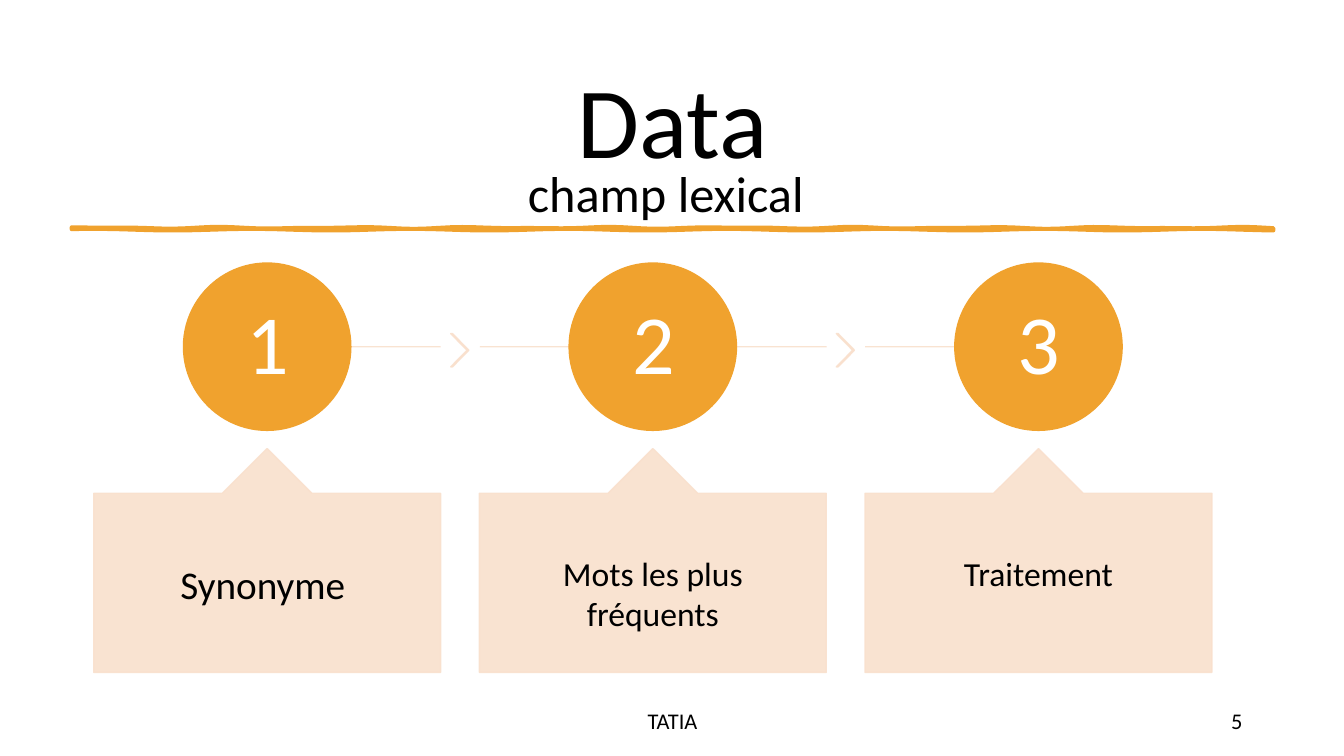
from math import sin

from lxml.etree import SubElement
from pptx import Presentation
from pptx.dml.color import RGBColor
from pptx.enum.shapes import MSO_CONNECTOR as Connector, MSO_SHAPE as Shape
from pptx.enum.text import MSO_ANCHOR as Anchor, PP_ALIGN as Align
from pptx.oxml.ns import qn
from pptx.util import Inches, Pt


def color(value):
    return RGBColor.from_string(value)


class LexicalSlide:
    """Draw the elements of the lexical field slide in one style."""

    font = "Calibri"
    orange, peach, black, white = "F0A22E", "F9E0CD", "000000", "FFFFFF"

    def __init__(self, page):
        self.page = page

    def fade(self, element):
        for tint in element.iter(qn("a:srgbClr")):
            SubElement(tint, qn("a:alpha")).set("val", "90000")

    def text(self, words, left, top, width, height, size, ink=black,
             align=Align.CENTER, anchor=Anchor.MIDDLE, insets=(0.1, 0.05), spacing=None):
        box = self.page.shapes.add_textbox(
            Inches(left), Inches(top), Inches(width), Inches(height))
        frame = box.text_frame
        frame.word_wrap = True
        frame.vertical_anchor = anchor
        frame.margin_left = frame.margin_right = Inches(insets[0])
        frame.margin_top = frame.margin_bottom = Inches(insets[1])
        para = frame.paragraphs[0]
        para.text = words
        para.alignment = align
        para.line_spacing = spacing
        para.font.name = self.font
        para.font.size = Pt(size)
        para.font.color.rgb = color(ink)

    def paint(self, shape, tint, weight):
        shape.shadow.inherit = False
        shape.fill.solid()
        shape.fill.fore_color.rgb = color(tint)
        shape.line.color.rgb = color(tint)
        shape.line.width = Pt(weight)

    def shape(self, kind, left, top, width, height, tint, adjustments=(), faded=False):
        shape = self.page.shapes.add_shape(
            kind, Inches(left), Inches(top), Inches(width), Inches(height))
        for index, value in enumerate(adjustments):
            shape.adjustments[index] = value
        self.paint(shape, tint, 1)
        if faded:
            self.fade(shape._element.spPr)

    def line(self, start, end, y):
        line = self.page.shapes.add_connector(
            Connector.STRAIGHT, Inches(start), Inches(y), Inches(end), Inches(y))
        line.line.color.rgb = color(self.peach)
        line.line.width = Pt(1)
        SubElement(line._element.spPr, qn("a:effectLst"))
        self.fade(line._element.spPr)

    def brush_stroke(self, left, right, y, thickness, steps=120):
        xs = [left + (right - left) * step / steps for step in range(steps + 1)]
        upper = [(x, y + 0.006 * sin(5 * x) + 0.004 * sin(8 * x)) for x in xs]
        lower = [(x, y + thickness + 0.008 * sin(4 * x + 1)) for x in reversed(xs)]
        outline = [(Inches(x), Inches(height)) for x, height in upper + lower]
        builder = self.page.shapes.build_freeform(*outline[0])
        builder.add_line_segments(outline[1:], close=True)
        self.paint(builder.convert_to_shape(), self.orange, 2.75)

    def step(self, number, left, words, size):
        center = left + 1.72
        self.shape(Shape.OVAL, center - 0.83, 2.61, 1.66, 1.66, self.orange)
        self.text(str(number), center - 0.58, 2.86, 1.17, 1.17, 60, self.white,
                  insets=(0.06, 0.06), spacing=0.9)
        self.shape(Shape.UP_ARROW_CALLOUT, left, 4.45, 3.44, 2.22, self.peach,
                   (0.5, 0.2, 0.2, 1), faded=True)
        drop = 1.22 * size / 72
        self.text(words, left, 4.9 + drop, 3.44, 1.77 - drop, size,
                  anchor=Anchor.TOP, insets=(0.27, 0.18))

    def chevron(self, left):
        self.shape(Shape.CHEVRON, left, 3.31, 0.18, 0.33, self.peach, (0.9,), faded=True)


def main():
    deck = Presentation()
    deck.slide_width, deck.slide_height = Inches(13.33), Inches(7.5)
    slide = LexicalSlide(deck.slides.add_slide(deck.slide_layouts[6]))

    slide.brush_stroke(0.71, 12.63, 2.26, 0.02)
    slide.text("TATIA", 4.42, 6.95, 4.5, 0.4, 16)
    slide.text("5", 9.42, 6.95, 3, 0.4, 16, align=Align.RIGHT)

    for start, end in [(2.84, 4.37), (4.76, 8.2), (8.58, 10.3)]:
        slide.line(start, end, 3.44)

    first, pitch = 0.93, 3.825
    steps = [("Synonyme ", 28), ("Mots les plus fréquents", 24), ("Traitement", 24)]
    for index, (words, size) in enumerate(steps):
        left = first + index * pitch
        slide.step(index + 1, left, words, size)
        if index < len(steps) - 1:
            slide.chevron(left + 3.54)

    slide.text("Data", 0.92, 0.44, 11.5, 1.47, 72)
    slide.text("champ lexical ", 2.27, 1.56, 8.78, 0.71, 36, anchor=Anchor.TOP)
    deck.save("out.pptx")


if __name__ == "__main__":
    main()
